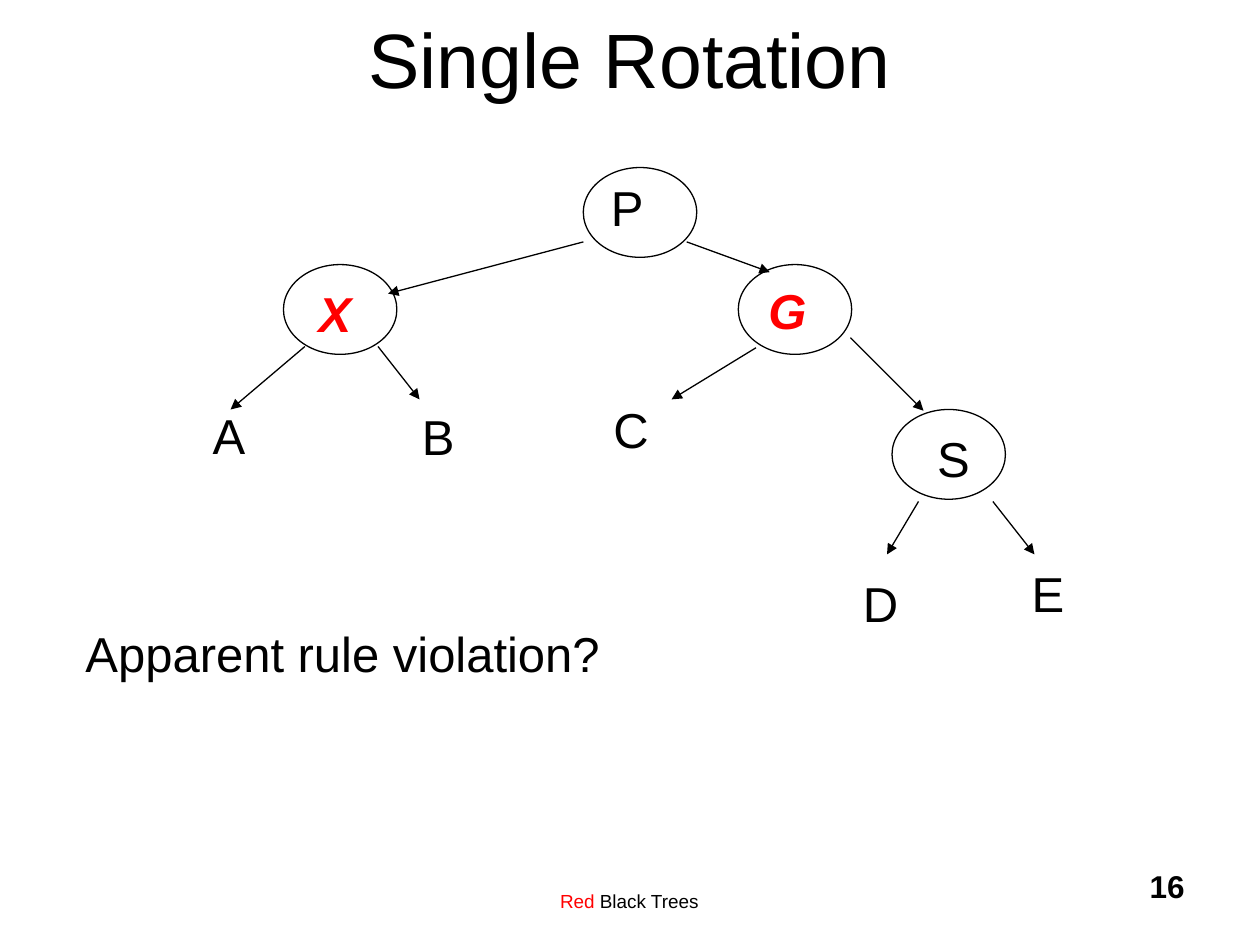
from lxml.etree import SubElement
from pptx import Presentation
from pptx.dml.color import RGBColor
from pptx.enum.shapes import MSO_CONNECTOR as CONN, MSO_SHAPE as SHAPE
from pptx.enum.text import MSO_ANCHOR as ANCHOR, MSO_AUTO_SIZE as AUTO, PP_ALIGN as ALIGN
from pptx.oxml.ns import qn
from pptx.util import Inches, Pt

BLACK = RGBColor(0, 0, 0)
RED = RGBColor(255, 0, 0)
W, H = 10, 7.5
NODE_W, NODE_H = 0.09 * W, 0.095 * H
LABEL_H = 0.57
PLAIN = dict(size=Pt(28))
RED_NODE = dict(size=Pt(28), bold=True, italic=True, color=RED)

NODES = [(4.63, 1.33), (2.25, 2.1), (5.86, 2.1), (7.08, 3.25)]
LABELS = [
    ("P", 4.75, 1.36, 0.46, PLAIN),
    ("X", 2.43, 2.2, 0.46, RED_NODE),
    ("G", 6, 2.18, 0.5, RED_NODE),
    ("S", 7.34, 3.35, 0.46, PLAIN),
    ("A", 1.59, 3.17, 0.46, PLAIN),
    ("B", 3.25, 3.18, 0.46, PLAIN),
    ("C", 4.77, 3.12, 0.48, PLAIN),
    ("D", 6.75, 4.5, 0.48, PLAIN),
    ("E", 8.09, 4.42, 0.46, PLAIN),
    ("Apparent rule violation?", 0.58, 4.9, 4.28, PLAIN),
]
EDGES = [
    (4.63, 1.92, 3.08, 2.33),
    (5.45, 1.92, 6.11, 2.16),
    (2.42, 2.75, 1.83, 3.25),
    (3, 2.75, 3.33, 3.17),
    (6, 2.76, 5.33, 3.17),
    (6.75, 2.68, 7.33, 3.26),
    (7.29, 3.98, 7.04, 4.4),
    (7.88, 3.98, 8.21, 4.4),
]


def inches(*lengths):
    return [Inches(v) for v in lengths]


def add_run(p, text, color=BLACK, **fmt):
    r = p.add_run()
    r.text = text
    r.font.color.rgb = color
    for name, value in dict(name="Arial", **fmt).items():
        setattr(r.font, name, value)


def add_title(s, text):
    sp = s.shapes.title
    sp.left, sp.top, sp.width, sp.height = inches(0.075 * W, -0.17, 0.85 * W, 1.25)
    tf = sp.text_frame
    tf.vertical_anchor = ANCHOR.MIDDLE
    p = tf.paragraphs[0]
    p.alignment = ALIGN.CENTER
    add_run(p, text, size=Pt(44))


def add_text(s, x, y, w, h, runs, align=ALIGN.LEFT, wrap=True):
    tf = s.shapes.add_textbox(*inches(x, y, w, h)).text_frame
    tf.word_wrap = wrap
    p = tf.paragraphs[0]
    p.alignment = align
    for text, fmt in runs:
        add_run(p, text, **fmt)
    return tf


def add_label(s, text, x, y, w, fmt):
    tf = add_text(s, x, y, w, LABEL_H, [(text, fmt)], wrap=False)
    tf.auto_size = AUTO.SHAPE_TO_FIT_TEXT
    tf.paragraphs[0].space_before = Pt(7)


def add_node(s, x, y):
    sp = s.shapes.add_shape(SHAPE.OVAL, *inches(x, y, NODE_W, NODE_H))
    sp.shadow.inherit = False
    sp.fill.background()
    sp.line.color.rgb = BLACK
    sp.line.width = Pt(0.75)


def add_arrow(s, *ends):
    c = s.shapes.add_connector(CONN.STRAIGHT, *inches(*ends))
    c.line.color.rgb = BLACK
    c.line.width = Pt(0.75)
    SubElement(c.line._get_or_add_ln(), qn("a:tailEnd"), type="triangle")
    SubElement(c._element.spPr, qn("a:effectLst"))


def main():
    prs = Presentation()
    prs.slide_width, prs.slide_height = inches(W, H)
    s = prs.slides.add_slide(prs.slide_layouts[5])
    add_title(s, "Single Rotation")
    for node in NODES:
        add_node(s, *node)
    for edge in EDGES:
        add_arrow(s, *edge)
    for label in LABELS:
        add_label(s, *label)
    small = dict(size=Pt(10.8))
    add_text(s, 3.08, 7.01, 3.83, 0.32,
             [("Red", dict(small, color=RED)), (" Black Trees", small)], ALIGN.CENTER)
    add_text(s, 7.42, 6.83, 2.08, 0.5, [("16", dict(size=Pt(18), bold=True))], ALIGN.RIGHT)
    prs.save("out.pptx")


if __name__ == "__main__":
    main()
